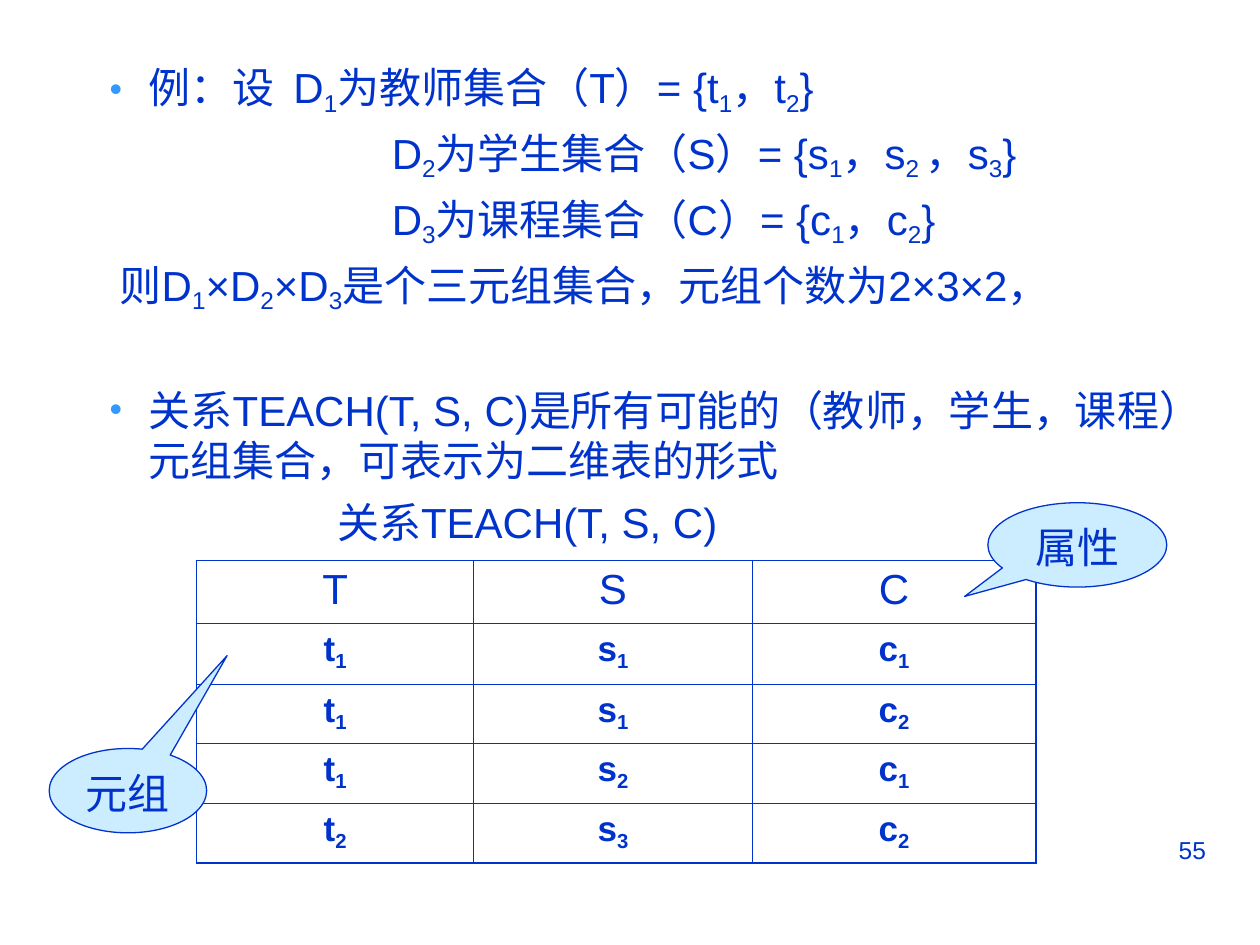
"""Build the slide that shows the relation TEACH(T, S, C) as a two-dimensional table."""
from lxml.etree import SubElement
from pptx import Presentation
from pptx.dml.color import RGBColor as Rgb
from pptx.enum.shapes import MSO_SHAPE as Preset
from pptx.enum.text import MSO_ANCHOR as Anchor, MSO_AUTO_SIZE as Fit, PP_ALIGN as Align
from pptx.oxml import parse_xml
from pptx.oxml.ns import nsdecls, qn
from pptx.util import Inches, Pt

THEME = {
    "ink": "0033CC", "bubble": "CCECFF", "bullet": "3399FF",
    "text_face": "Arial", "bubble_face": "Cabin",
    "text": 24, "tuple": 20, "number": 14,
    "outer_rule": 1.08, "inner_rule": 0.45, "bubble_rule": 0.75,
}

deck = Presentation()
deck.slide_width, deck.slide_height = Inches(10), Inches(7.5)
slide = deck.slides.add_slide(deck.slide_layouts[1])


def area(left, top, width, height):
    """Turn percentages of the slide's width and height into lengths."""
    across, down = deck.slide_width / 100, deck.slide_height / 100
    return [int(left * across), int(top * down), int(width * across), int(height * down)]


def write(paragraph, wording, size=THEME["text"], face=THEME["text_face"], bold=False, **layout):
    """Fill a paragraph; the parts between tildes are subscripts."""
    for attribute, setting in layout.items():
        setattr(paragraph, attribute, setting)
    for position, part in enumerate(wording.split("~")):
        if part:
            run = paragraph.add_run()
            run.text = part
            for attribute, setting in {"size": Pt(size), "name": face, "bold": bold}.items():
                setattr(run.font, attribute, setting)
            run.font.color.rgb = Rgb.from_string(THEME["ink"])
            if position % 2:
                run.font._element.set("baseline", "-20000")


title, body = slide.placeholders
title._element.getparent().remove(title._element)
body.left, body.top, body.width, body.height = area(2.7, 5.87, 94.5, 60)
example = body.text_frame
for attribute, setting in {"word_wrap": True, "auto_size": Fit.NONE, "vertical_anchor": Anchor.TOP}.items():
    setattr(example, attribute, setting)

statements = [
    ("例：设  D~1~为教师集合（T）= {t~1~，t~2~}", 0.81, True, 0),
    ("D~2~为学生集合（S）= {s~1~，s~2 ~，s~3~}", 2.74, False, 6),
    ("D~3~为课程集合（C）= {c~1~，c~2~}", 2.74, False, 6),
    ("则D~1~×D~2~×D~3~是个三元组集合，元组个数为2×3×2，", 0.58, False, 6),
    ("关系TEACH(T, S, C)是所有可能的（教师，学生，课程）元组集合，可表示为二维表的形式", 0.81, True, 40),
]
for order, (wording, margin, bulleted, gap) in enumerate(statements):
    statement = example.add_paragraph() if order else example.paragraphs[0]
    properties = statement._p.get_or_add_pPr()
    properties.set("marL", str(Inches(margin)))
    properties.set("indent", str(Inches(-0.31 if bulleted else 0)))
    if bulleted:
        SubElement(SubElement(properties, qn("a:buClr")), qn("a:srgbClr"), val=THEME["bullet"])
        SubElement(properties, qn("a:buSzPct"), val="85000")
        SubElement(properties, qn("a:buChar"), char="•")
    else:
        SubElement(properties, qn("a:buNone"))
    write(statement, wording, space_before=Pt(gap), alignment=Align.LEFT)

for wording, place, size, alignment in [
    ("55", (71.7, 87.73, 25, 6.93), THEME["number"], Align.RIGHT),
    ("关系TEACH(T, S, C)", (18.7, 51.87, 46.3, 6.27), THEME["text"], Align.CENTER),
]:
    label = slide.shapes.add_textbox(*area(*place)).text_frame
    label.word_wrap = True
    write(label.paragraphs[0], wording, size, alignment=alignment)

relation = ["T S C", "t~1~ s~1~ c~1~", "t~1~ s~1~ c~2~", "t~1~ s~2~ c~1~", "t~2~ s~3~ c~2~"]
teach = slide.shapes.add_table(len(relation), 3, *area(15.6, 59.33, 66.6, 32)).table
teach.first_row = teach.horz_banding = False
for column, width in zip(teach.columns, (2.2, 2.21, 2.25)):
    column.width = Inches(width)
for row, height in zip(teach.rows, (0.5, 0.48, 0.47, 0.48, 0.47)):
    row.height = Inches(height)

for r, record in enumerate(relation):
    for c, entry in enumerate(record.split()):
        cell = teach.cell(r, c)
        cell.fill.background()
        write(cell.text_frame.paragraphs[0], entry, THEME["tuple"] if r else THEME["text"],
              bold=r > 0, alignment=Align.CENTER)
        edges = {"L": c == 0, "R": c == 2, "T": r == 0, "B": r == len(relation) - 1}
        for slot, (side, outer) in enumerate(edges.items()):
            weight = Pt(THEME["outer_rule" if outer else "inner_rule"])
            cell._tc.get_or_add_tcPr().insert(slot, parse_xml(
                f'<a:ln{side} {nsdecls("a")} w="{weight}"><a:solidFill>'
                f'<a:srgbClr val="{THEME["ink"]}"/></a:solidFill></a:ln{side}>'))

for wording, place, tip in [
    ("元组", (3.9, 79.2, 12.5, 8.93), (0.63, -1.6)),
    ("属性", (78.4, 53.2, 14.2, 8.93), (-0.63, 0.61)),
]:
    bubble = slide.shapes.add_shape(Preset.OVAL_CALLOUT, *area(*place))
    bubble.shadow.inherit = False
    bubble.adjustments[0], bubble.adjustments[1] = tip
    bubble.fill.solid()
    bubble.fill.fore_color.rgb = Rgb.from_string(THEME["bubble"])
    bubble.line.color.rgb = Rgb.from_string(THEME["ink"])
    bubble.line.width = Pt(THEME["bubble_rule"])
    bubble.text_frame.vertical_anchor = Anchor.TOP
    write(bubble.text_frame.paragraphs[0], wording, face=THEME["bubble_face"], alignment=Align.CENTER)

deck.save("out.pptx")
